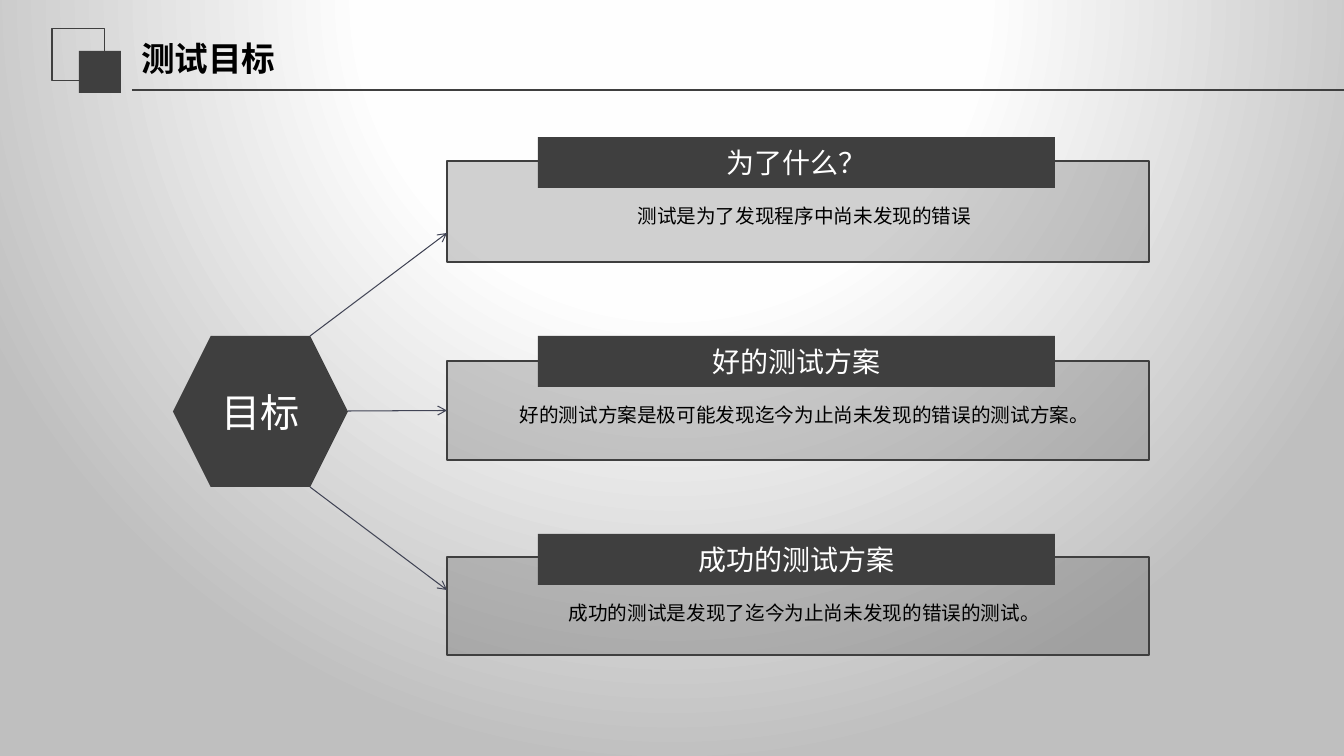
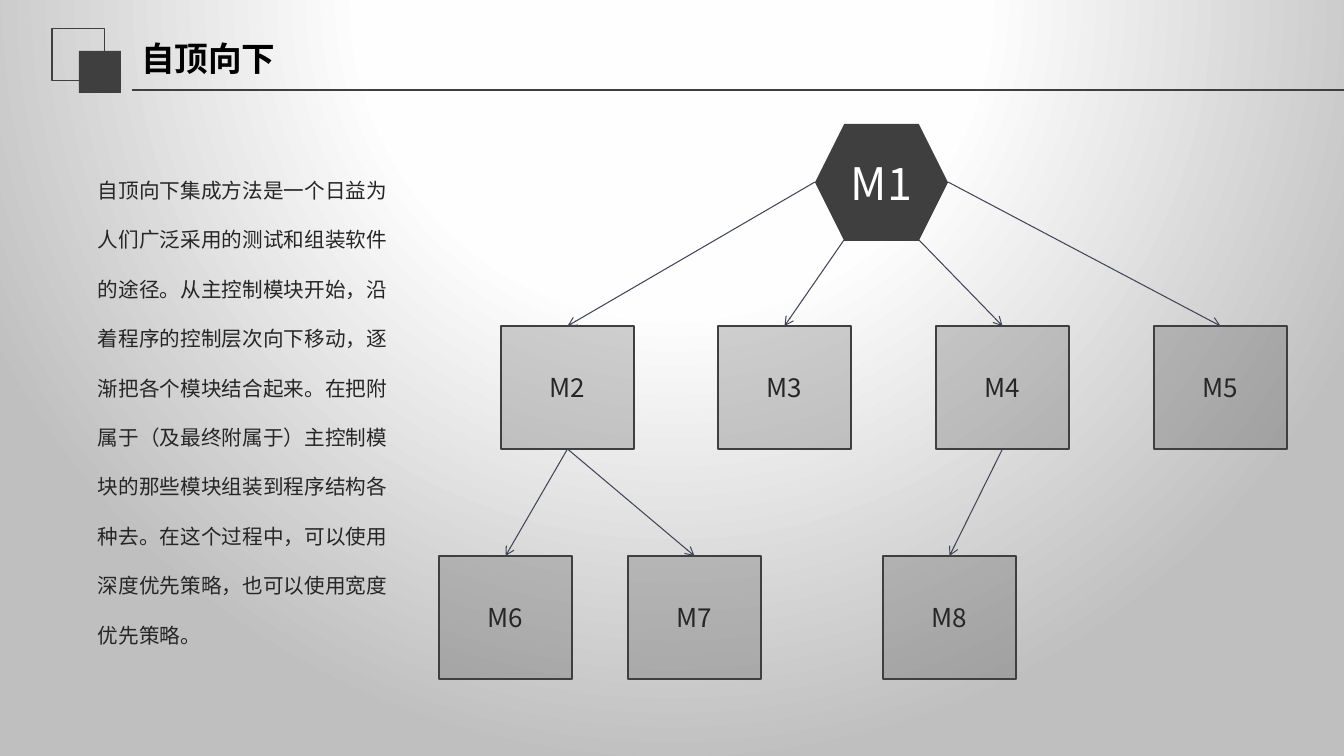
import pptx
import pptx.dml.color
import pptx.enum.dml
import pptx.enum.shapes
import pptx.enum.text
import pptx.oxml
import pptx.oxml.ns
import pptx.util
from lxml import etree

PX = 9071
qn = pptx.oxml.ns.qn
RGBColor = pptx.dml.color.RGBColor
SHAPE = pptx.enum.shapes.MSO_SHAPE
STRAIGHT = pptx.enum.shapes.MSO_CONNECTOR.STRAIGHT
ALIGN = pptx.enum.text.PP_ALIGN
AUTO_SIZE = pptx.enum.text.MSO_AUTO_SIZE

CHARCOAL = RGBColor(0x3F, 0x3F, 0x3F)
SLATE = RGBColor(0x41, 0x44, 0x55)
INK = RGBColor(0x26, 0x26, 0x26)
BLACK = RGBColor(0x00, 0x00, 0x00)
WHITE = RGBColor(0xFF, 0xFF, 0xFF)
FONT = "Noto Sans CJK SC"


def set_text(shape, text, size, color, align=ALIGN.CENTER, spacing=None, latin=FONT, bold=False):
    paragraph = shape.text_frame.paragraphs[0]
    paragraph.text = text
    paragraph.alignment = align
    if spacing:
        paragraph.line_spacing = spacing
    paragraph.font.size = pptx.util.Pt(size)
    paragraph.font.bold = bold
    paragraph.font.color.rgb = color
    paragraph.font.name = latin
    properties = next(shape.element.iter(qn("a:defRPr")))
    etree.SubElement(properties, qn("a:ea")).set("typeface", FONT)


def add_block(slide, preset, left, top, width, height, translucent=False):
    shape = slide.shapes.add_shape(preset, left * PX, top * PX, width * PX, height * PX)
    shape.shadow.inherit = False
    shape.fill.solid()
    shape.fill.fore_color.rgb = CHARCOAL
    if translucent:
        color = shape.element.spPr.find(qn("a:solidFill")).find(qn("a:srgbClr"))
        etree.SubElement(color, qn("a:alpha")).set("val", "24000")
        shape.line.color.rgb = CHARCOAL
        shape.line.width = pptx.util.Pt(1)
    else:
        shape.line.fill.background()
    return shape


presentation = pptx.Presentation()
presentation.slide_width = 1344 * PX
presentation.slide_height = 756 * PX
layout = presentation.slide_layouts[5]

layout.background.fill.gradient()
gradient = next(layout.element.iter(qn("a:gradFill")))
stops = "".join(
    f'<a:gs pos="{position}"><a:srgbClr val="{color}"/></a:gs>'
    for position, color in ((0, "FFFFFF"), (40000, "FEFEFE"), (100000, "BFBFBF"))
)
gradient.getparent().replace(gradient, pptx.oxml.parse_xml(
    f'<a:gradFill {pptx.oxml.ns.nsdecls("a")} rotWithShape="1"><a:gsLst>{stops}</a:gsLst>'
    '<a:path path="circle"><a:fillToRect l="50000" t="-80000" r="50000" b="180000"/></a:path>'
    '</a:gradFill>'
))

for placeholder in list(layout.placeholders):
    if placeholder.placeholder_format.idx == 0:
        placeholder.left, placeholder.top = 131 * PX, 29 * PX
        placeholder.width, placeholder.height = 478 * PX, 58 * PX
    else:
        layout.shapes.element.remove(placeholder.element)

slides = []
for title in ("测试目标", "自顶向下"):
    slide = presentation.slides.add_slide(layout)
    set_text(slide.shapes.title, title, 24, BLACK, ALIGN.LEFT, latin="Calibri", bold=True)
    slides.append(slide)
goal_slide, top_down_slide = slides

outline_square = add_block(goal_slide, SHAPE.RECTANGLE, 52, 28, 53, 53)
outline_square.fill.background()
outline_square.line.color.rgb = CHARCOAL
outline_square.line.width = pptx.util.Pt(0.75)
solid_square = add_block(goal_slide, SHAPE.RECTANGLE, 79, 51, 42, 42)
title_rule = goal_slide.shapes.add_connector(STRAIGHT, 132 * PX, 90 * PX, 1344 * PX, 90 * PX)
title_rule.line.color.rgb = CHARCOAL
title_rule.line.width = pptx.util.Pt(1.25)
etree.SubElement(title_rule.element.spPr, qn("a:effectLst"))
for decoration in (outline_square, solid_square, title_rule):
    layout.shapes.element.append(decoration.element)

arrows = []

goal = add_block(goal_slide, SHAPE.HEXAGON, 173, 336, 175, 151)
set_text(goal, "目标", 28, WHITE)
goal_cards = (
    ("为了什么？", "测试是为了发现程序中尚未发现的错误", 137, 161, 101),
    ("好的测试方案", "好的测试方案是极可能发现迄今为止尚未发现的错误的测试方案。", 336, 361, 99),
    ("成功的测试方案", "成功的测试是发现了迄今为止尚未发现的错误的测试。", 534, 557, 98),
)
panels = []
for heading, statement, heading_top, panel_top, panel_height in goal_cards:
    panels.append(add_block(goal_slide, SHAPE.RECTANGLE, 447, panel_top, 702, panel_height, True))
    header = add_block(goal_slide, SHAPE.RECTANGLE, 538, heading_top, 517, 51)
    set_text(header, heading, 20, WHITE)
    caption = goal_slide.shapes.add_textbox(471 * PX, (heading_top + 55) * PX, 667 * PX, 40 * PX)
    caption.text_frame.word_wrap = True
    caption.text_frame.auto_size = AUTO_SIZE.SHAPE_TO_FIT_TEXT
    set_text(caption, statement, 14, BLACK, spacing=1.3)
arrows += [
    (goal_slide, (310, 336), (447, 233), None, None, None),
    (goal_slide, (348, 411), (447, 411), None, panels[1], 1),
    (goal_slide, (310, 487), (447, 590), None, None, None),
]

description = top_down_slide.shapes.add_textbox(88 * PX, 148 * PX, 323 * PX, 508 * PX)
description.text_frame.word_wrap = True
description.text_frame.auto_size = AUTO_SIZE.SHAPE_TO_FIT_TEXT
set_text(
    description,
    "自顶向下集成方法是一个日益为人们广泛采用的测试和组装软件的途径。"
    "从主控制模块开始，沿着程序的控制层次向下移动，逐渐把各个模块结合起来。"
    "在把附属于（及最终附属于）主控制模块的那些模块组装到程序结构各种去。"
    "在这个过程中，可以使用深度优先策略，也可以使用宽度优先策略。",
    14.7, INK, ALIGN.LEFT, spacing=2.0,
)

main_module = add_block(top_down_slide, SHAPE.HEXAGON, 815, 124, 133, 117)
set_text(main_module, "M1", 32, WHITE)
MODULE_WIDTH, MODULE_HEIGHT = 133, 123
SECOND_ROW, THIRD_ROW = 326, 556
module_places = [(501 + 653 * column // 3, SECOND_ROW) for column in range(4)]
module_places += [(left, THIRD_ROW) for left in (439, 628, 883)]
modules = {}
for number, (left, top) in enumerate(module_places, start=2):
    name = f"M{number}"
    module = add_block(top_down_slide, SHAPE.RECTANGLE, left, top, MODULE_WIDTH, MODULE_HEIGHT, True)
    set_text(module, name, 18.6, INK)
    modules[name] = (module, left + MODULE_WIDTH // 2)

for start, name in (((815, 182), "M2"), ((844, 240), "M3"), ((919, 240), "M4"), ((948, 182), "M5")):
    target, center = modules[name]
    arrows.append((top_down_slide, start, (center, SECOND_ROW), None, target, 0))
for parent, child in (("M2", "M6"), ("M2", "M7"), ("M4", "M8")):
    source, source_center = modules[parent]
    target, target_center = modules[child]
    start = (source_center, SECOND_ROW + MODULE_HEIGHT)
    arrows.append((top_down_slide, start, (target_center, THIRD_ROW), source, target, 0))

for slide, start, end, source, target, target_site in arrows:
    arrow = slide.shapes.add_connector(STRAIGHT, *(length * PX for length in start + end))
    if source is not None:
        arrow.begin_connect(source, 2)
    if target is not None:
        arrow.end_connect(target, target_site)
    arrow.line.color.rgb = SLATE
    arrow.line.width = pptx.util.Pt(0.75)
    properties = arrow.element.spPr
    etree.SubElement(properties.find(qn("a:ln")), qn("a:tailEnd")).set("type", "arrow")
    etree.SubElement(properties, qn("a:effectLst"))

presentation.save("out.pptx")
